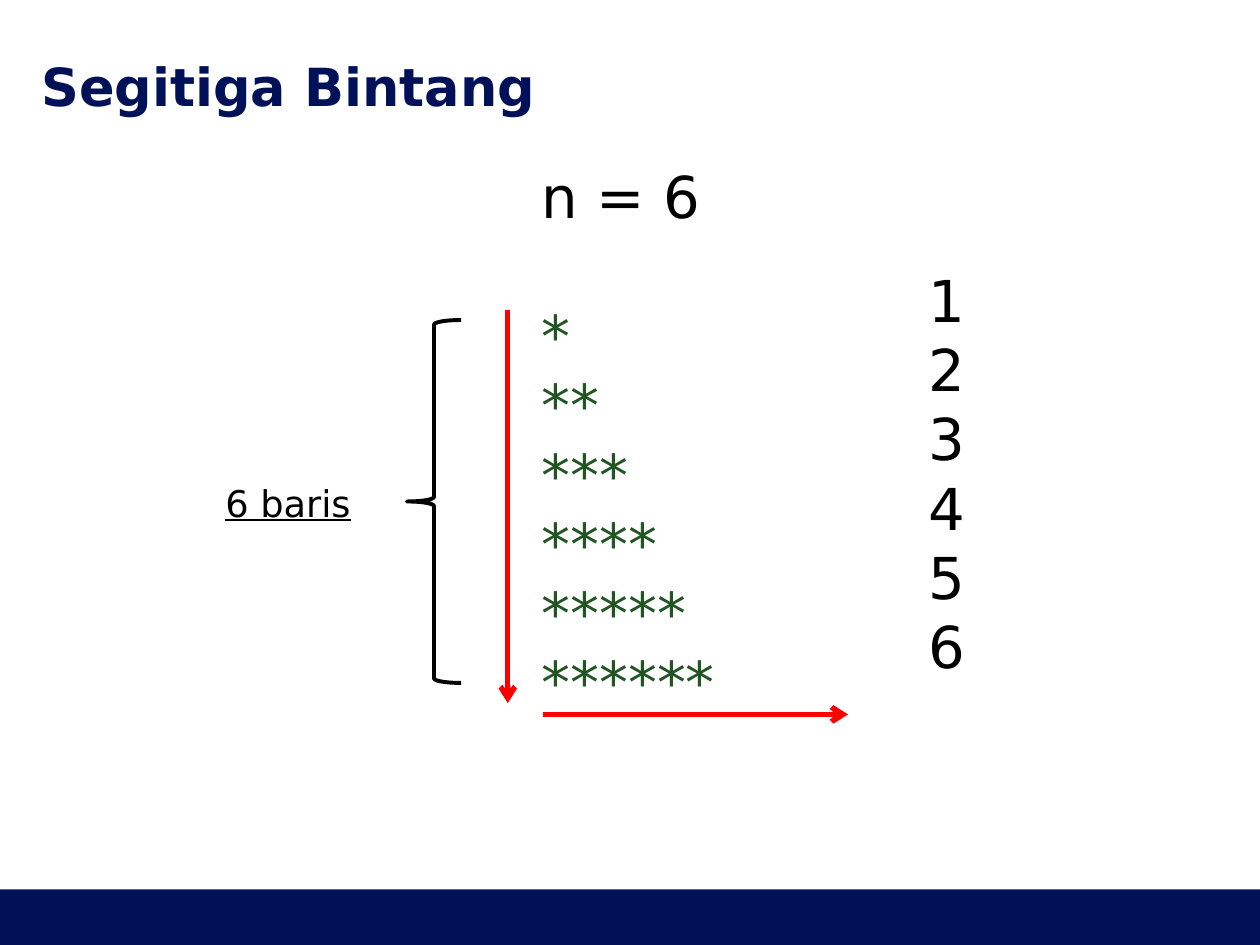
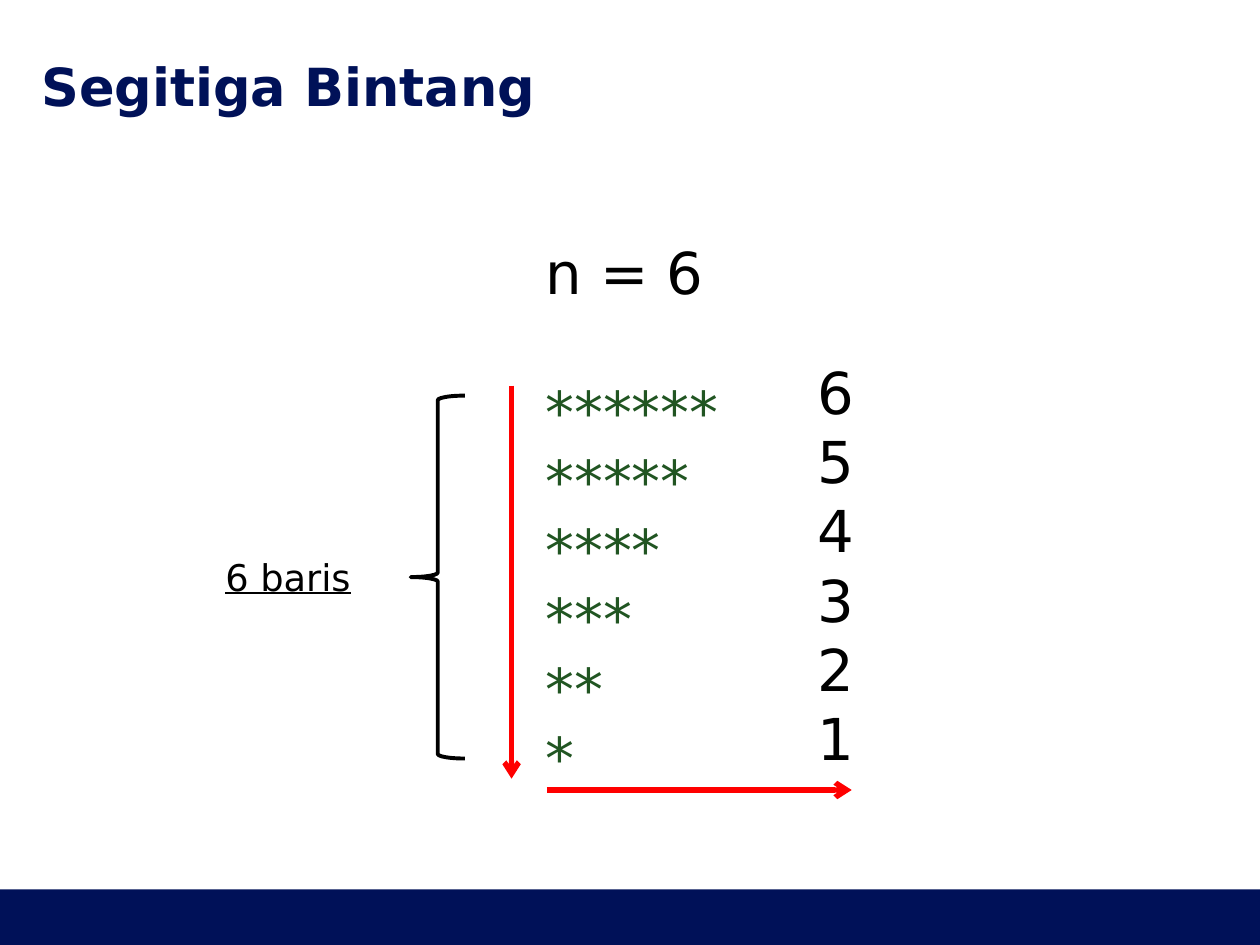
from dataclasses import dataclass

from lxml import etree
from pptx import Presentation
from pptx.dml.color import RGBColor
from pptx.enum.shapes import MSO_CONNECTOR, MSO_SHAPE
from pptx.enum.text import MSO_ANCHOR, MSO_AUTO_SIZE, PP_ALIGN
from pptx.oxml.ns import qn
from pptx.presentation import Presentation as Deck
from pptx.slide import Slide
from pptx.text.text import _Paragraph as Paragraph
from pptx.util import Inches, Pt

RECTANGLE = MSO_SHAPE.RECTANGLE
LEFT_BRACE = MSO_SHAPE.LEFT_BRACE
STRAIGHT = MSO_CONNECTOR.STRAIGHT
MIDDLE = MSO_ANCHOR.MIDDLE
NO_AUTOFIT = MSO_AUTO_SIZE.NONE
LEFT = PP_ALIGN.LEFT

FONT = "DejaVu Sans"
NAVY, BLACK, GREEN, RED = "001158", "000000", "215522", "FF0000"
TITLE_ONLY = 5
ROW_SIZE = 33
ROW_PITCH = 39.6


@dataclass(frozen=True)
class TextLine:
    """One paragraph of text and its look."""
    text: str
    size: float = ROW_SIZE
    color: str = BLACK
    bold: bool = False
    underline: bool = False
    pitch: float | None = ROW_PITCH
    space_before: float = 0


@dataclass(frozen=True)
class Triangle:
    """A star triangle: its row counts and the places of its parts."""
    counts: tuple[int, ...]
    left: float
    top: float
    stars_width: float
    label_top: float
    numbers_left: float
    numbers_top: float


TRIANGLES = (
    Triangle((1, 2, 3, 4, 5, 6), 4.2, 1.23, 2.69, 3.77, 7.27, 2.05),
    Triangle((6, 5, 4, 3, 2, 1), 4.23, 1.83, 2.01, 4.35, 6.39, 2.78),
)


def rgb(color: str) -> RGBColor:
    """Turn a hex string into a colour."""
    return RGBColor.from_string(color)


def write_line(paragraph: Paragraph, line: TextLine) -> None:
    """Fill a paragraph with one formatted run."""
    paragraph.alignment = LEFT
    paragraph.space_before = Pt(line.space_before)
    if line.pitch:
        paragraph.line_spacing = Pt(line.pitch)
    run = paragraph.add_run()
    run.text = line.text
    run.font.name = FONT
    run.font.size = Pt(line.size)
    run.font.bold = line.bold
    run.font.underline = line.underline
    run.font.color.rgb = rgb(line.color)


def add_text(slide: Slide, left: float, top: float, width: float, height: float,
             lines: list[TextLine]) -> None:
    """Add a text box with one paragraph for each line."""
    box = slide.shapes.add_textbox(Inches(left), Inches(top), Inches(width), Inches(height))
    frame = box.text_frame
    frame.word_wrap = True
    for index, line in enumerate(lines):
        write_line(frame.add_paragraph() if index else frame.paragraphs[0], line)


def add_arrow(slide: Slide, start: tuple[float, float], end: tuple[float, float]) -> None:
    """Add a red line with an open arrowhead at its end."""
    arrow = slide.shapes.add_connector(STRAIGHT, *map(Inches, start + end))
    arrow.line.color.rgb = rgb(RED)
    arrow.line.width = Pt(3)
    properties = arrow.element.spPr
    etree.SubElement(properties.find(qn("a:ln")), qn("a:tailEnd"), type="arrow")
    etree.SubElement(properties, qn("a:effectLst"))


def add_base_slide(presentation: Deck, title: str) -> Slide:
    """Add a slide with the footer band and the title."""
    slide = presentation.slides.add_slide(presentation.slide_layouts[TITLE_ONLY])
    band = slide.shapes.add_shape(RECTANGLE, Inches(0), Inches(7.06), Inches(10), Inches(0.44))
    band.shadow.inherit = False
    band.fill.solid()
    band.fill.fore_color.rgb = rgb(NAVY)
    band.line.fill.background()

    shape = slide.shapes.title
    shape.left, shape.top = Inches(0.33), Inches(0.44)
    shape.width, shape.height = Inches(9.34), Inches(0.47)
    frame = shape.text_frame
    frame.margin_left = frame.margin_right = frame.margin_top = frame.margin_bottom = Inches(0)
    frame.vertical_anchor = MIDDLE
    frame.auto_size = NO_AUTOFIT
    write_line(frame.paragraphs[0], TextLine(title, 30, NAVY, bold=True, pitch=None))
    return slide


def add_triangle(slide: Slide, triangle: Triangle) -> None:
    """Draw the stars, their row numbers, the brace and the arrows."""
    left, top = triangle.left, triangle.top
    row_total = len(triangle.counts)
    stars = [TextLine("*" * count, color=GREEN, space_before=0 if index else ROW_PITCH)
             for index, count in enumerate(triangle.counts)]
    add_text(slide, left, top, triangle.stars_width, 4.54,
             [TextLine(f"n = {row_total}"), *stars])

    brace = slide.shapes.add_shape(LEFT_BRACE, Inches(left - 0.97), Inches(top + 1.31),
                                   Inches(0.43), Inches(2.88))
    brace.shadow.inherit = False
    brace.fill.background()
    brace.line.color.rgb = rgb(BLACK)
    brace.line.width = Pt(2.25)

    add_text(slide, 1.69, triangle.label_top, 1.4, 0.45,
             [TextLine(f"{row_total} baris", 21, underline=True, pitch=None)])
    add_text(slide, triangle.numbers_left, triangle.numbers_top, 1.61, 3.43,
             [TextLine(str(count)) for count in triangle.counts])
    add_arrow(slide, (left - 0.17, top + 1.23), (left - 0.17, top + 4.35))
    add_arrow(slide, (left + 0.11, top + 4.44), (left + 2.53, top + 4.44))


def main() -> None:
    """Build and save the presentation."""
    presentation = Presentation()
    presentation.slide_width = Inches(10)
    presentation.slide_height = Inches(7.5)
    for triangle in TRIANGLES:
        add_triangle(add_base_slide(presentation, "Segitiga Bintang"), triangle)
    presentation.save("out.pptx")


if __name__ == "__main__":
    main()
